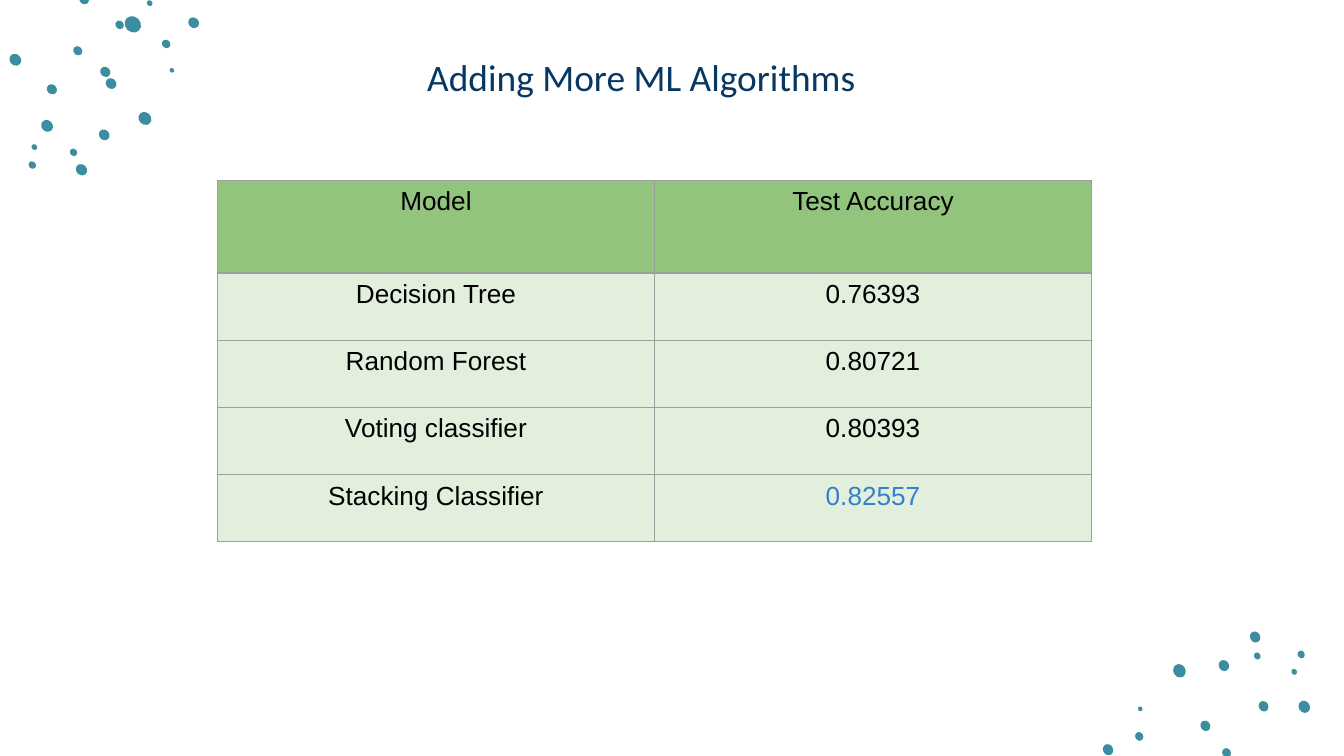
"""Build a slide comparing the test accuracy of several ML models."""
from lxml import etree
from pptx import Presentation
from pptx.dml.color import RGBColor as RGB
from pptx.enum.shapes import MSO_SHAPE as SHAPE
from pptx.enum.text import MSO_ANCHOR as ANCHOR, PP_ALIGN as ALIGN
from pptx.oxml.ns import qn
from pptx.util import Cm, Pt

COLORS = {"dot": "3C8DA0", "title": "073763", "text": "000000", "best": "3180C8",
          "head": "93C47D", "body": "E2EFDC", "border": "9E9E9E"}
TITLE_FONT = {"name": "Calibri", "size": Pt(20), "bold": False}
CELL_FONT = {"name": "Arial", "size": Pt(14), "bold": False}

TOP_DOTS = [
    (2.51, 0.46, 0.29), (2.83, 0.06, 0.10), (1.59, -0.01, 0.17), (2.26, 0.47, 0.15),
    (1.47, 0.96, 0.16), (1.99, 1.36, 0.18), (2.10, 1.58, 0.19), (0.98, 1.69, 0.18),
    (1.97, 2.55, 0.19), (0.89, 2.38, 0.21), (1.39, 2.88, 0.13), (1.54, 3.21, 0.20),
    (0.65, 2.78, 0.10), (0.61, 3.12, 0.13), (2.74, 2.24, 0.23), (3.66, 0.43, 0.19),
    (3.14, 0.83, 0.15), (3.25, 1.33, 0.08), (0.29, 1.13, 0.21),
]
BOTTOM_DOTS = [
    (23.18, 14.23, 0.16), (22.78, 13.72, 0.18), (23.88, 13.35, 0.18),
    (23.13, 12.58, 0.19), (23.76, 12.40, 0.12), (23.72, 12.04, 0.19),
    (24.46, 12.70, 0.10), (24.59, 12.37, 0.13), (22.29, 12.68, 0.23),
    (20.94, 14.17, 0.19), (21.53, 13.92, 0.15), (21.55, 13.40, 0.08),
    (24.65, 13.36, 0.21),
]
ROWS = [("Model", "Test Accuracy"), ("Decision Tree", "0.76393"),
        ("Random Forest", "0.80721"), ("Voting classifier", "0.80393"),
        ("Stacking Classifier", "0.82557")]
BEST = "0.82557"


class Deck:
    """Holds the style and the current slide."""

    def __init__(self, width, height):
        self.prs = Presentation()
        self.prs.slide_width, self.prs.slide_height = Cm(width), Cm(height)
        self.s = self.prs.slides.add_slide(self.prs.slide_layouts[5])

    def color(self, key):
        return RGB.from_string(COLORS[key])

    def add_text(self, p, text, font, color, align):
        p.alignment = align
        r = p.add_run()
        r.text = text
        for name, value in font.items():
            setattr(r.font, name, value)
        r.font.color.rgb = self.color(color)

    def title(self, text, x, y, w, h):
        sp = self.s.shapes.title
        sp.left, sp.top, sp.width, sp.height = Cm(x), Cm(y), Cm(w), Cm(h)
        tf = sp.text_frame
        tf.word_wrap = True
        tf.vertical_anchor = ANCHOR.TOP
        self.add_text(tf.paragraphs[0], text, TITLE_FONT, "title", ALIGN.LEFT)

    def dots(self, dots, angle):
        group = self.s.shapes.add_group_shape()
        for x, y, size in dots:
            length = size * 1.13
            sp = group.shapes.add_shape(SHAPE.OVAL, Cm(x - length / 2), Cm(y - size / 2),
                                        Cm(length), Cm(size))
            sp.rotation = angle
            sp.shadow.inherit = False
            sp.fill.solid()
            sp.fill.fore_color.rgb = self.color("dot")
            sp.line.fill.background()

    def border(self, cell):
        tc_pr = cell._tc.get_or_add_tcPr()
        for i, side in enumerate(("lnL", "lnR", "lnT", "lnB")):
            ln = etree.Element(qn(f"a:{side}"), w=str(Pt(0.75)))
            fill = etree.SubElement(ln, qn("a:solidFill"))
            etree.SubElement(fill, qn("a:srgbClr"), val=COLORS["border"])
            tc_pr.insert(i, ln)

    def table(self, rows, x, y, col_width, row_heights):
        n_cols = len(rows[0])
        table = self.s.shapes.add_table(len(rows), n_cols, Cm(x), Cm(y),
                                        Cm(col_width * n_cols), Cm(sum(row_heights))).table
        for col in table.columns:
            col.width = Cm(col_width)
        for i, (values, height) in enumerate(zip(rows, row_heights)):
            table.rows[i].height = Cm(height)
            for j, value in enumerate(values):
                cell = table.cell(i, j)
                cell.fill.solid()
                cell.fill.fore_color.rgb = self.color("body" if i else "head")
                self.border(cell)
                self.add_text(cell.text_frame.paragraphs[0], value, CELL_FONT,
                              "best" if value == BEST else "text", ALIGN.CENTER)


def main():
    deck = Deck(25.4, 14.29)
    deck.dots(TOP_DOTS, 45)
    deck.dots(BOTTOM_DOTS, 60.3)
    deck.table(ROWS, 4.11, 3.41, 8.26, [1.75] + [1.27] * 4)
    deck.title("Adding More ML Algorithms", 7.82, 0.89, 9.96, 1.12)
    deck.prs.save("out.pptx")


if __name__ == "__main__":
    main()
